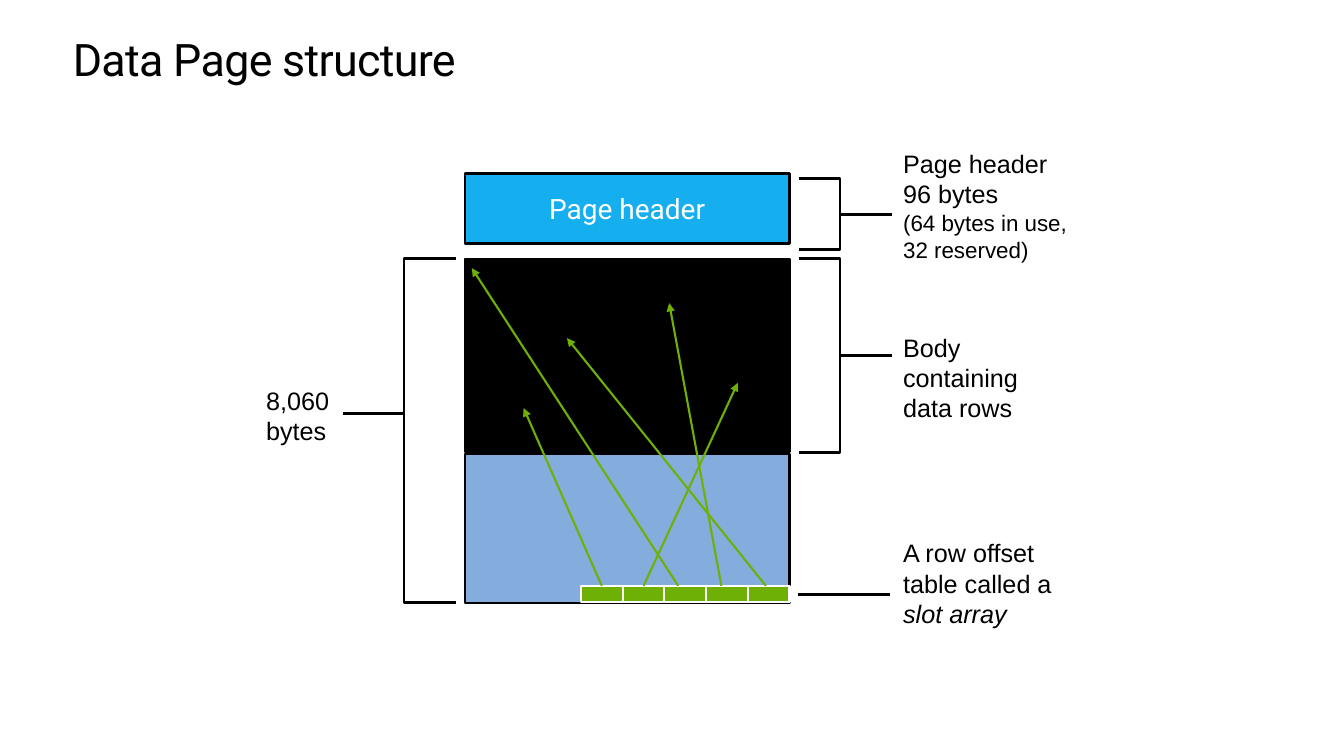
import pptx
import pptx.util
import pptx.dml.color
import pptx.enum.dml
import pptx.enum.shapes
import pptx.enum.text
import pptx.oxml
import pptx.oxml.ns
from lxml import etree

Pt = pptx.util.Pt
RGB = pptx.dml.color.RGBColor.from_string
RECT = pptx.enum.shapes.MSO_SHAPE.RECTANGLE
STRAIGHT = pptx.enum.shapes.MSO_CONNECTOR.STRAIGHT
ALIGN = pptx.enum.text.PP_ALIGN
ANCHOR = pptx.enum.text.MSO_ANCHOR
FIT = pptx.enum.text.MSO_AUTO_SIZE
qn = pptx.oxml.ns.qn


class Theme:
    ink, paper = "000000", "FFFFFF"
    head, free, slot, weave = "15AEEF", "0A5BBA", "6EB005", "919191"
    thin, thick = 1.5, 2
    title = dict(name="Roboto", size=Pt(32), bold=False, color=ink)
    cell = dict(name="Roboto", size=Pt(20), color=paper)
    note = dict(name="Arial", size=Pt(18), color=ink)
    small = dict(note, size=Pt(16))
    slant = dict(note, italic=True)


def assign(target, values):
    for key, value in values.items():
        if key == "color":
            target.color.rgb = RGB(value)
        else:
            setattr(target, key, value)


def stroke(line, color, width):
    line.color.rgb = RGB(color)
    line.width = Pt(width)


def block(slide, box, fill, edge=Theme.ink):
    shape = slide.shapes.add_shape(RECT, *map(Pt, box))
    shape.shadow.inherit = False
    shape.fill.solid()
    shape.fill.fore_color.rgb = RGB(fill)
    stroke(shape.line, edge, Theme.thin)
    return shape


def link(slide, start, end, color=Theme.ink, width=Theme.thick, arrow=False):
    line = slide.shapes.add_connector(STRAIGHT, *map(Pt, (*start, *end)))
    stroke(line.line, color, width)
    if arrow:
        tail = etree.SubElement(line.line._get_or_add_ln(), qn("a:tailEnd"))
        tail.set("type", "triangle")
    etree.SubElement(line._element.spPr, qn("a:effectLst"))
    return line


def bracket(slide, box, side):
    """Draw three sides of the box; side is where the spine stands."""
    left, top, width, height = box
    spine, tip = (left, left + width) if side == "left" else (left + width, left)
    pen = slide.shapes.build_freeform(Pt(tip), Pt(top), scale=1.0)
    points = [(spine, top), (spine, top + height), (tip, top + height)]
    pen.add_line_segments([(Pt(x), Pt(y)) for x, y in points], close=False)
    shape = pen.convert_to_shape()
    shape.shadow.inherit = False
    shape.fill.background()
    stroke(shape.line, Theme.ink, Theme.thick)


def label(slide, box, paras, wrap=True):
    """Write paragraphs, each a list of (text, font values) runs."""
    frame = slide.shapes.add_textbox(*map(Pt, box)).text_frame
    assign(frame, dict(word_wrap=wrap, auto_size=FIT.SHAPE_TO_FIT_TEXT))
    for i, runs in enumerate(paras):
        para = frame.add_paragraph() if i else frame.paragraphs[0]
        for text, values in runs:
            run = para.add_run()
            run.text = text
            assign(run.font, values)


def heading(slide, box, text):
    shape = slide.shapes.title
    assign(shape, dict(zip(("left", "top", "width", "height"), map(Pt, box))))
    shape.fill.solid()
    shape.fill.fore_color.rgb = RGB(Theme.paper)
    frame = shape.text_frame
    sides = ("left", "top", "right", "bottom")
    assign(frame, {f"margin_{side}": 0 for side in sides})
    assign(frame, dict(word_wrap=True, vertical_anchor=ANCHOR.TOP,
                       auto_size=FIT.SHAPE_TO_FIT_TEXT))
    para = frame.paragraphs[0]
    assign(para, dict(alignment=ALIGN.LEFT, line_spacing=Pt(36.2)))
    run = para.add_run()
    run.text = text
    assign(run.font, Theme.title)
    run.font._element.set("spc", "-50")


def page(slide, box):
    """Stack the page header, the data rows and the free space."""
    left, top, width, height = box
    head = block(slide, (left, top, width, 50), Theme.head)
    frame = head.text_frame
    assign(frame, dict(word_wrap=False, vertical_anchor=ANCHOR.MIDDLE))
    para = frame.paragraphs[0]
    para.alignment = ALIGN.CENTER
    run = para.add_run()
    run.text = "Page header"
    assign(run.font, Theme.cell)

    rows = block(slide, (left, top + 61, width, 138), Theme.ink)
    rows.fill.patterned()
    rows.fill.pattern = pptx.enum.dml.MSO_PATTERN.DARK_HORIZONTAL
    rows.fill.fore_color.rgb = RGB(Theme.ink)
    rows.fill.back_color.rgb = RGB(Theme.weave)

    free = block(slide, (left, top + 200, width, height - 200), Theme.free)
    color = free._element.spPr.find(".//" + qn("a:srgbClr"))
    etree.SubElement(color, qn("a:alpha")).set("val", "50000")


def slots(slide, box):
    """Tile the slot array and point each slot at its row."""
    left, top, width, height = box
    # shift of the arrow's start from the slot's middle, then its tip
    aims = [(0, -41, -127), (0, 112, -145), (-5, -78, -227),
            (-4, 63, -202), (-2, -10, -177)]
    step = width / len(aims)
    cells = [block(slide, (left + i * step, top, step, height),
                   Theme.slot, Theme.paper) for i in range(len(aims))]
    for i, (shift, x, y) in enumerate(aims):
        start = left + (i + 0.5) * step + shift, top
        line = link(slide, start, (left + x, top + y),
                    Theme.slot, Theme.thin, True)
        if not shift:
            line.begin_connect(cells[i], 0)


def sizes(slide, box):
    """Show the total size to the left of the page."""
    left, top, width, height = box
    bracket(slide, (left + width - 37, top, 37, height), "left")
    link(slide, (left + width - 36, top + 111), (left + 62, top + 111))
    label(slide, (left, top + 87, 60, 50),
          [[("8,060", Theme.note)], [("bytes", Theme.note)]], wrap=False)


def notes(slide, box):
    """Name the parts to the right of the page."""
    left, top, width, height = box
    text = left + 67
    for y, tall, lead in ((25, 50.5, 50.5), (82, 139, 151.5)):
        bracket(slide, (left, top + y, 29, tall), "right")
        link(slide, (left + 30, top + lead), (text - 1, top + lead))
    link(slide, (left - 1, top + 322), (text - 2, top + 322))

    note, small, slant = Theme.note, Theme.small, Theme.slant
    parts = [
        (0, 140, 81, [[("Page header", note)], [("96 bytes", note)],
                      [("(64 bytes in use, 32 reserved)", small)]]),
        (131, 122, 66, [[("Body containing data rows", note)]]),
        (278, 135, 58, [[("A row offset", note)],
                        [("table called a ", note), ("slot array", slant)]]),
    ]
    for y, wide, tall, paras in parts:
        label(slide, (text, top + y, wide, tall), paras)


def main():
    deck = pptx.Presentation()
    deck.slide_width, deck.slide_height = Pt(960), Pt(540)
    slide = deck.slides.add_slide(deck.slide_layouts[5])
    heading(slide, (52, 25, 857, 36), "Data Page structure")
    page(slide, (332, 124, 232, 306.5))
    slots(slide, (415, 418.5, 149, 11.5))
    sizes(slide, (183, 184.5, 142.5, 246))
    notes(slide, (571, 102.5, 207, 336))
    deck.save("out.pptx")


if __name__ == "__main__":
    main()
